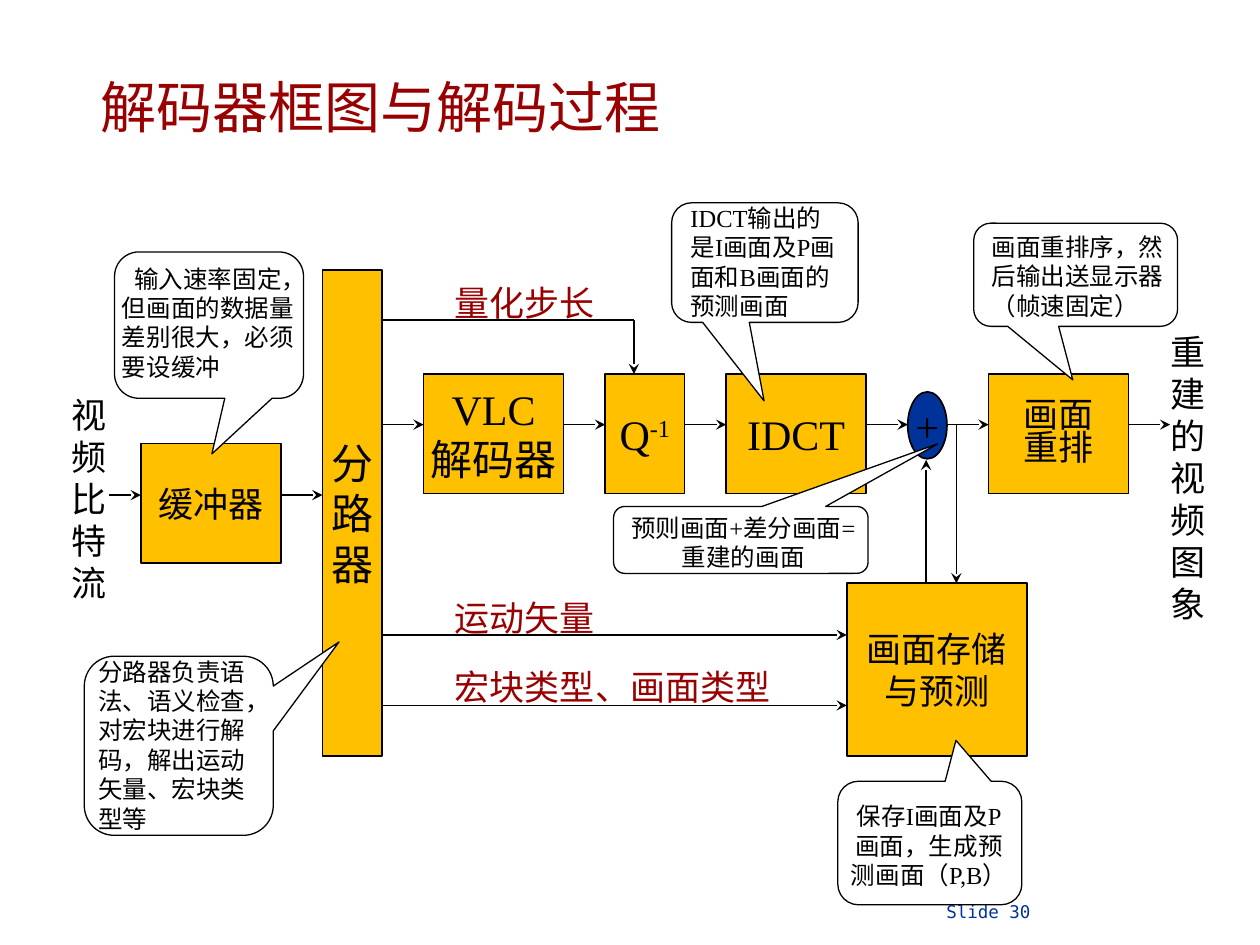
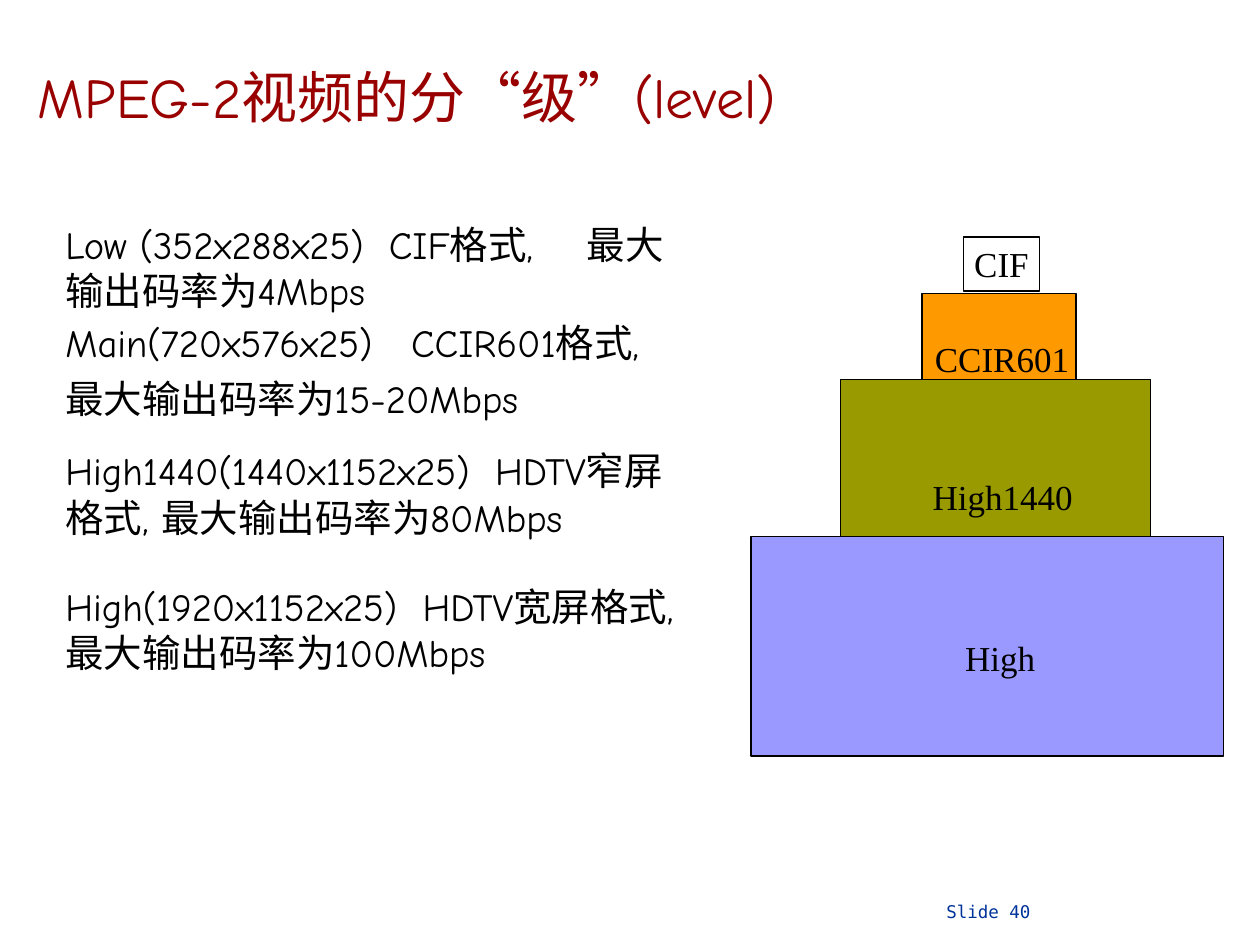
from lxml.etree import SubElement
from pptx import Presentation
from pptx.dml.color import RGBColor
from pptx.enum.shapes import MSO_CONNECTOR as Link, MSO_SHAPE as Shape
from pptx.enum.text import MSO_ANCHOR as Anchor, MSO_AUTO_SIZE as AutoSize, PP_ALIGN as Align
from pptx.oxml.ns import qn
from pptx.util import Cm, Pt

BLACK, WHITE, RED, BLUE, AMBER = "000000", "FFFFFF", "990000", "003399", "FFC000"
SERIF, COMIC, MONO = "Times New Roman", "Comic Neue", "DejaVu Sans Mono"

TITLE_HEIGHT = 1.5
TITLE = dict(size=32, colour=RED, font=COMIC, align=Align.CENTER, anchor=Anchor.MIDDLE, spacing=0.9)
FOOTER_AREA = (18.85, 18.16, 6.5, 0.48)
FOOTER = dict(size=10, colour=BLUE, font=MONO, insets=(0.23, 0))

DECODER = dict(title="解码器框图与解码过程", title_left=0, title_top=1.47, title_width=15.34, footer="Slide 30")
LEVELS_PAGE = dict(title="MPEG-2视频的分“级”(level)", title_left=0.1, title_top=1.27, title_width=16.21,
                   footer="Slide 40")

CHAIN_LEFT, CHAIN_GAP = 2.84, 0.84
BUFFER_AXIS, MAIN_AXIS = 9.98, 8.56
STAGES = [
    dict(lines=["缓冲器"], top=8.94, width=2.82, height=2.41, size=20),
    dict(lines=["分", "路", "器"], top=5.44, width=1.2, height=9.8),
    dict(lines=["VLC", "解码器"], top=7.54, width=2.82, height=2.41),
    dict(lines=["Q^-1"], top=7.54, width=1.6, height=2.41),
    dict(lines=["IDCT"], top=7.54, width=2.82, height=2.41),
    dict(lines=["+"], top=7.9, width=0.79, height=1.35, kind=Shape.OVAL, fill=BLUE),
    dict(lines=["画面", "重排"], top=7.54, width=2.82, height=2.41, size=20, spacing=0.8),
]
STORE = (17.07, 11.76, 3.63, 3.48)
STORE_LINES = ["画面存储", "与预测"]

SIDE_PATHS = [
    ((7.7, 6.45), (12.78, 6.45), False),
    ((12.78, 6.45), (12.78, 7.54), True),
    ((7.7, 12.8), (17.07, 12.8), True),
    ((7.7, 14.22), (17.07, 14.22), True),
    ((19.28, 8.56), (19.28, 11.76), True),
    ((18.67, 11.76), (18.67, 9.27), True),
    ((2.2, BUFFER_AXIS), (2.84, BUFFER_AXIS), True),
]
LABELS = [
    ("视频比特流", (1.19, 7.8, 1.42, 4.5), BLACK),
    ("宏块类型、画面类型", (8.92, 13.28, 7.52, 1.09), RED),
    ("运动矢量", (8.92, 11.89, 5.08, 1.09), RED),
    ("量化步长", (8.92, 5.54, 4.67, 1.09), RED),
    ("重建的视频图象", (23.34, 6.53, 1.42, 6.2), BLACK),
]
CALLOUTS = [
    dict(text="输入速率固定，但画面的数据量差别很大，必须要设缓冲", indent=0.25,
         bubble=(2.31, 5.08, 3.81, 2.95), tip=(0.015, 0.88), area=(2.21, 5.18, 4.14, 2.64)),
    dict(text="分路器负责语法、语义检查，对宏块进行解码，解出运动矢量、宏块类型等",
         bubble=(1.7, 13.23, 3.81, 3.61), tip=(0.848, -0.58), area=(1.73, 13.11, 3.56, 3.81)),
    dict(text="IDCT输出的是I画面及P画面和B画面的预测画面",
         bubble=(13.54, 4.09, 3.76, 2.41), tip=(-0.004, 1.157), area=(13.67, 3.96, 3.58, 2.64)),
    dict(text="保存I画面及P画面，生成预测画面（P,B）", align=Align.CENTER,
         bubble=(16.89, 15.75, 3.71, 2.49), tip=(0.142, -0.831), area=(16.84, 15.72, 3.78, 2.64)),
    dict(text="预则画面+差分画面=重建的画面", align=Align.CENTER,
         bubble=(12.37, 10.21, 5.13, 1.35), tip=(0.775, -1.437), area=(12.24, 10.21, 5.49, 1.45)),
    dict(text="画面重排序，然后输出送显示器（帧速固定）",
         bubble=(19.63, 4.5, 4.11, 2.08), tip=(-0.014, 1.019), area=(19.74, 4.55, 4.04, 2.03)),
]

LEVELS = [
    dict(name="CIF", fill=WHITE, block=(19.43, 4.78, 1.52, 1.09), name_area=(19.25, 4.75, 1.88, 1.12),
         text="Low (352x288x25)\tCIF格式,\t最大输出码率为4Mbps",
         area=(1.07, 4.32, 12.7, 2.13), tabs=(6.52, 10.51)),
    dict(name="CCIR601", fill="FF9900", block=(18.59, 5.92, 3.1, 2.18), name_area=(18.42, 6.68, 3.56, 1.12),
         text="Main(720x576x25)\tCCIR601格式, 最大输出码率为15-20Mbps",
         area=(1.07, 6.12, 12.7, 2.49), tabs=(6.97,), spacing=1.2),
    dict(name="High1440", fill="999900", block=(16.94, 7.65, 6.25, 4.42), name_area=(18.16, 9.45, 4.11, 1.12),
         text="High1440(1440x1152x25)\tHDTV窄屏格式, 最大输出码率为80Mbps",
         area=(1.07, 8.89, 12.7, 2.13), tabs=(8.66,)),
    dict(name="High", fill="9999FF", block=(15.14, 10.82, 9.53, 4.42), name_area=(18.11, 12.7, 4.11, 1.12),
         text="High(1920x1152x25)\tHDTV宽屏格式, 最大输出码率为100Mbps",
         area=(1.07, 11.63, 13.54, 2.13), tabs=(7.2,)),
]


def paint(hex_colour):
    return RGBColor.from_string(hex_colour)


def lengths(area):
    return [Cm(value) for value in area]


def set_all(target, values):
    for name, value in values.items():
        setattr(target, name, value)


def write(box, lines, size=20, colour=BLACK, font=SERIF, align=Align.LEFT, anchor=Anchor.TOP,
          spacing=None, wrap=True, insets=(0.25, 0.13), indent=0, tabs=()):
    across, down = lengths(insets)
    frame = box.text_frame
    set_all(frame, dict(word_wrap=wrap, auto_size=AutoSize.NONE, vertical_anchor=anchor,
                        margin_left=across, margin_right=across, margin_top=down, margin_bottom=down))
    for number, line in enumerate(lines):
        para = frame.add_paragraph() if number else frame.paragraphs[0]
        set_all(para, dict(alignment=align, line_spacing=spacing))
        properties = para._p.get_or_add_pPr()
        if indent:
            properties.set("indent", str(Cm(indent)))
        if tabs:
            stops = SubElement(properties, qn("a:tabLst"))
            for stop in tabs:
                SubElement(stops, qn("a:tab"), pos=str(Cm(stop)), algn="l")
        for part, text in enumerate(line.split("^")):
            span = para.add_run()
            span.text = text
            set_all(span.font, dict(size=Pt(size), name=font))
            span.font.color.rgb = paint(colour)
            if part:
                span._r.get_or_add_rPr().set("baseline", "30000")


def add_text(page, area, lines, **style):
    write(page.shapes.add_textbox(*lengths(area)), lines, **style)


def add_block(page, area, fill, kind=Shape.RECTANGLE, weight=0.75):
    block = page.shapes.add_shape(kind, *lengths(area))
    block.shadow.inherit = False
    block.fill.solid()
    block.fill.fore_color.rgb = paint(fill)
    block.line.color.rgb = paint(BLACK)
    block.line.width = Pt(weight)
    return block


def add_stage(page, area, lines, kind=Shape.RECTANGLE, fill=AMBER, size=24, spacing=None):
    block = add_block(page, area, fill, kind, weight=1)
    write(block, lines, size=size, spacing=spacing, align=Align.CENTER, anchor=Anchor.MIDDLE, wrap=False)


def add_path(page, start, end, arrow=True):
    path = page.shapes.add_connector(Link.STRAIGHT, *lengths(start + end))
    path.line.color.rgb = paint(BLACK)
    path.line.width = Pt(1)
    properties = path._element.spPr
    if arrow:
        SubElement(properties.get_or_add_ln(), qn("a:tailEnd"), type="stealth")
    SubElement(properties, qn("a:effectLst"))


def add_page(deck, title, title_left, title_top, title_width, footer):
    page = deck.slides.add_slide(deck.slide_layouts[5])
    heading = page.shapes.title
    places = lengths((title_left, title_top, title_width, TITLE_HEIGHT))
    set_all(heading, dict(zip(("left", "top", "width", "height"), places)))
    write(heading, [title], **TITLE)
    add_text(page, FOOTER_AREA, [footer], **FOOTER)
    return page


def build_decoder(deck):
    page = add_page(deck, **DECODER)
    left = CHAIN_LEFT
    for number, stage in enumerate(STAGES):
        style = dict(stage)
        width = style.pop("width")
        add_stage(page, (left, style.pop("top"), width, style.pop("height")), **style)
        axis = MAIN_AXIS if number else BUFFER_AXIS
        right = left + width
        left = right + CHAIN_GAP
        add_path(page, (right, axis), (left, axis))
    add_stage(page, STORE, STORE_LINES, size=20)
    for start, end, arrow in SIDE_PATHS:
        add_path(page, start, end, arrow)
    for text, area, colour in LABELS:
        add_text(page, area, [text], colour=colour)
    for note in CALLOUTS:
        bubble = add_block(page, note["bubble"], WHITE, Shape.ROUNDED_RECTANGULAR_CALLOUT)
        for index, value in enumerate(note["tip"]):
            bubble.adjustments[index] = value
        add_text(page, note["area"], [note["text"]], size=14, anchor=Anchor.MIDDLE,
                 align=note.get("align", Align.LEFT), indent=note.get("indent", 0))


def build_levels(deck):
    page = add_page(deck, **LEVELS_PAGE)
    for level in LEVELS:
        add_block(page, level["block"], level["fill"])
        add_text(page, level["name_area"], [level["name"]], align=Align.CENTER)
        add_text(page, level["area"], [level["text"]], size=22, font=COMIC,
                 spacing=level.get("spacing"), tabs=level["tabs"])


def main():
    deck = Presentation()
    set_all(deck, dict(slide_width=Cm(25.4), slide_height=Cm(19.05)))
    build_decoder(deck)
    build_levels(deck)
    deck.save("out.pptx")


if __name__ == "__main__":
    main()
